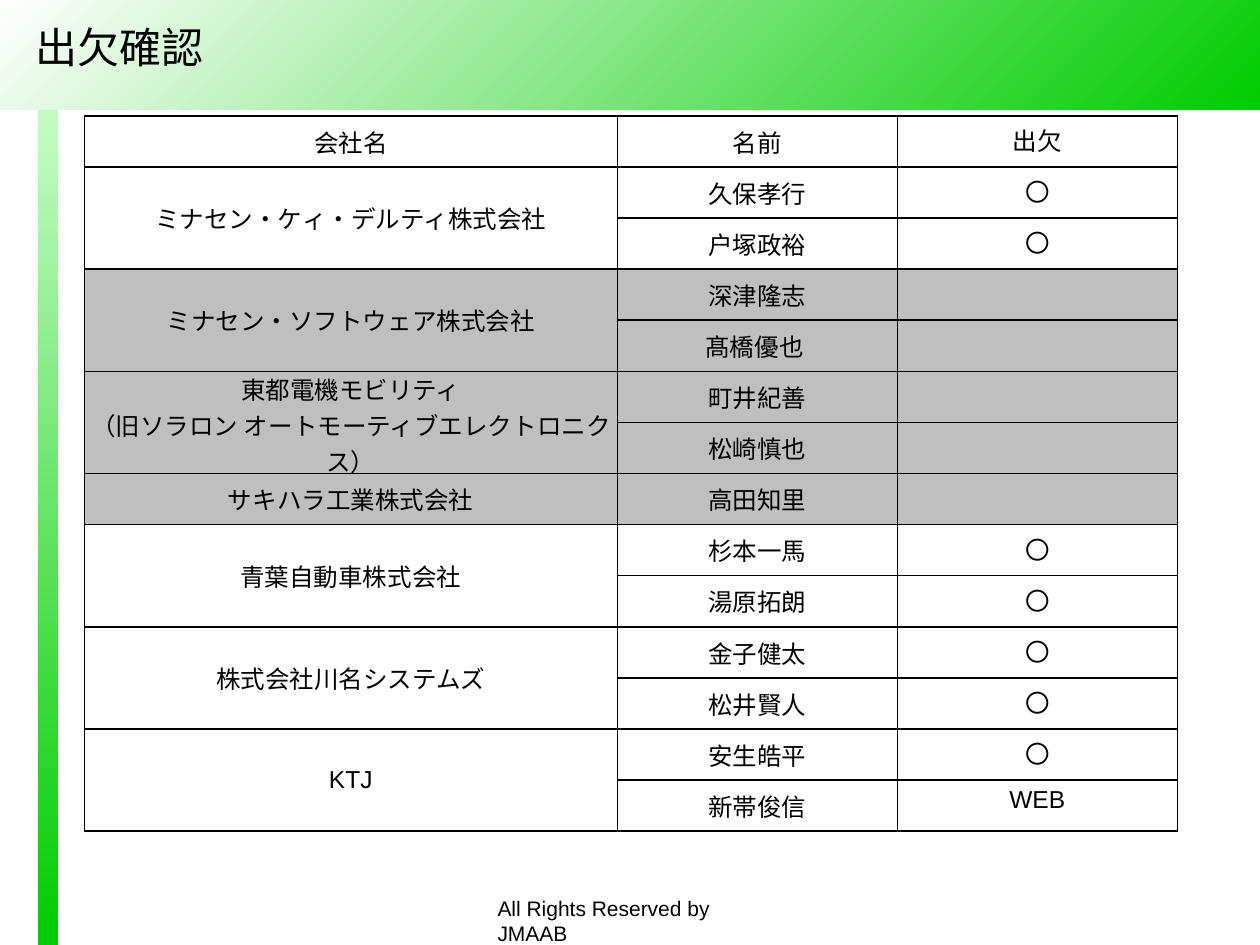
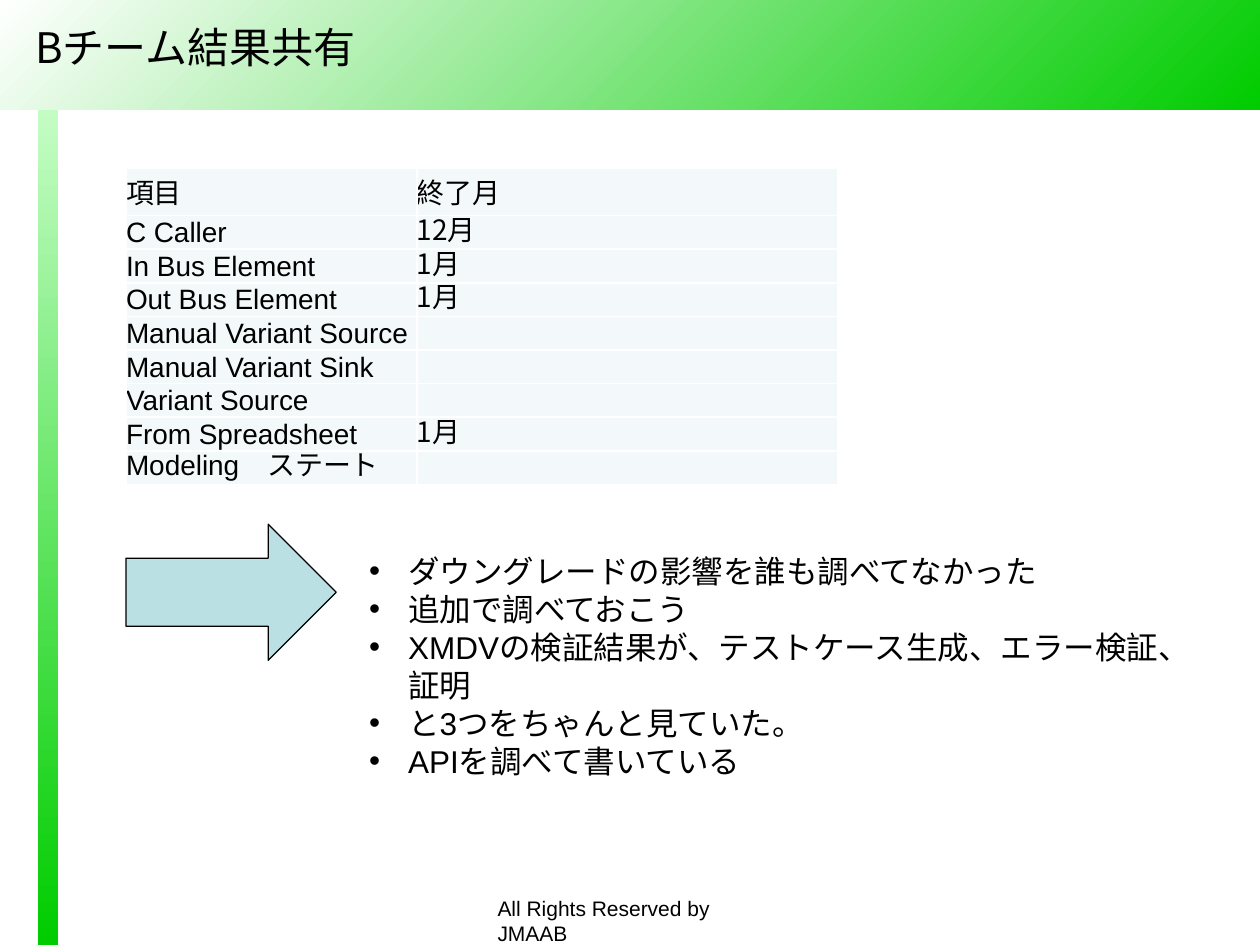
from dataclasses import dataclass

from lxml.etree import SubElement
from pptx import Presentation
from pptx.dml.color import RGBColor
from pptx.enum.shapes import MSO_SHAPE
from pptx.enum.text import MSO_ANCHOR, PP_ALIGN
from pptx.oxml import parse_xml
from pptx.oxml.ns import nsdecls, qn
from pptx.util import Pt

COLORS = {
    "black": "000000",
    "white": "FFFFFF",
    "pale_green": "CCFFCC",
    "green": "00CC00",
    "absent": "BFBFBF",
    "item": "F3F9FA",
    "arrow": "BBE0E3",
}
LATIN, CJK = "Arial", "Noto Sans CJK JP"


@dataclass
class Box:
    x: float
    y: float
    w: float
    h: float

    def emu(self) -> tuple:
        return Pt(self.x), Pt(self.y), Pt(self.w), Pt(self.h)


@dataclass
class Band:
    box: Box
    start: str
    angle: int  # clockwise


@dataclass
class Company:
    lines: list[str]
    members: list[tuple[str, str]]  # name, attendance mark


BANDS = [
    Band(Box(21.6, 43.2, 11.5, 496.8), "pale_green", 90),
    Band(Box(0, 0, 720, 62.6), "white", 45),
]

COMPANIES = [
    Company(["ミナセン・ケィ・デルティ株式会社"], [("久保孝行", "〇"), ("戸塚政裕", "〇")]),
    Company(["ミナセン・ソフトウェア株式会社"], [("深津隆志", ""), ("髙橋優也 ", "")]),
    Company(["東都電機モビリティ", "（旧ソラロン オートモーティブエレクトロニクス）"],
            [("町井紀善", ""), ("松崎慎也", "")]),
    Company(["サキハラ工業株式会社"], [("高田知里", "")]),
    Company(["青葉自動車株式会社"], [("杉本一馬", "〇"), ("湯原拓朗", "〇")]),
    Company(["株式会社川名システムズ"], [("金子健太", "〇"), ("松井賢人", "〇")]),
    Company(["KTJ"], [("安生皓平", "〇"), ("新帯俊信", "WEB")]),
]

ITEMS = [
    ("項目", "終了月"),
    ("C Caller", "12月"),
    ("In Bus Element", "1月"),
    ("Out Bus Element", "1月"),
    ("Manual Variant Source", ""),
    ("Manual Variant Sink", ""),
    ("Variant Source", ""),
    ("From Spreadsheet", "1月"),
    ("Modeling　ステート", ""),
]

FINDINGS = [
    "ダウングレードの影響を誰も調べてなかった",
    "追加で調べておこう",
    "XMDVの検証結果が、テストケース生成、エラー検証、証明",
    "と3つをちゃんと見ていた。",
    "APIを調べて書いている",
]


def rgb(name: str) -> RGBColor:
    return RGBColor.from_string(COLORS[name])


# Text
def write(tf, lines: list[str], size: float, font: str = LATIN, align=None,
          spacing: float | None = None, bullet: bool = False) -> None:
    for i, line in enumerate(lines):
        p = tf.paragraphs[0] if i == 0 else tf.add_paragraph()
        if bullet:
            pPr = p._p.get_or_add_pPr()
            pPr.set("marL", str(Pt(22.3)))
            pPr.set("indent", str(-Pt(22.3)))
            SubElement(pPr, qn("a:buFont")).set("typeface", LATIN)
            SubElement(pPr, qn("a:buChar")).set("char", "•")
        p.alignment = align
        if spacing:
            p.line_spacing = Pt(spacing)
        if not line:
            SubElement(p._p, qn("a:endParaRPr")).set("sz", str(int(size * 100)))
            continue
        r = p.add_run()
        r.text = line
        r.font.size = Pt(size)
        r.font.name = font
        r.font.color.rgb = rgb("black")
        SubElement(r._r.get_or_add_rPr(), qn("a:ea")).set("typeface", CJK)


def add_text(s, box: Box, lines: list[str], size: float, anchor=MSO_ANCHOR.TOP, **style) -> None:
    tf = s.shapes.add_textbox(*box.emu()).text_frame
    tf.word_wrap = True
    tf.vertical_anchor = anchor
    write(tf, lines, size, **style)


# Shared slide frame
def add_slide(prs, title: str):
    s = prs.slides.add_slide(prs.slide_layouts[6])
    for band in BANDS:
        sp = s.shapes.add_shape(MSO_SHAPE.RECTANGLE, *band.box.emu())
        sp.shadow.inherit = False
        sp.line.fill.background()
        sp.fill.gradient()
        sp.fill.gradient_angle = 360 - band.angle
        for stop, color in zip(sp.fill.gradient_stops, (band.start, "green")):
            stop.color.rgb = rgb(color)
    add_text(s, Box(277.2, 508.3, 178.6, 21.6), ["All Rights Reserved by JMAAB"], 12)
    add_text(s, Box(13, 10.1, 493.9, 33.1), [title], 24, MSO_ANCHOR.MIDDLE, font=CJK)
    return s


# Tables
def add_grid(s, x: float, y: float, widths: list[float], heights: list[float], border: str):
    box = Box(x, y, sum(widths), sum(heights))
    table = s.shapes.add_table(len(heights), len(widths), *box.emu()).table
    table.first_row = table.horz_banding = False
    for col, width in zip(table.columns, widths):
        col.width = Pt(width)
    for row, height in zip(table.rows, heights):
        row.height = Pt(height)
    for cell in table.iter_cells():
        tcPr = cell._tc.get_or_add_tcPr()
        for i, side in enumerate("LRTB"):
            tcPr.insert(i, parse_xml(
                f'<a:ln{side} {nsdecls("a")} w="{Pt(1)}"><a:solidFill>'
                f'<a:srgbClr val="{COLORS[border]}"/></a:solidFill></a:ln{side}>'))
    return table


def fill_cell(cell, lines: list[str], size: float, fill: str, tight: bool = True, **style) -> None:
    cell.fill.solid()
    cell.fill.fore_color.rgb = rgb(fill)
    if tight:
        cell.margin_left = cell.margin_right = cell.margin_top = cell.margin_bottom = 0
        cell.vertical_anchor = MSO_ANCHOR.MIDDLE
    write(cell.text_frame, lines, size, **style)


# Slide 1: attendance
def build_attendance(prs) -> None:
    s = add_slide(prs, "出欠確認")
    rows = 1 + sum(len(c.members) for c in COMPANIES)
    table = add_grid(s, 48.2, 66.2, [304.6, 160, 160], [29.2] * rows, "black")

    def put(row: int, col: int, lines: list[str], fill: str) -> None:
        fill_cell(table.cell(row, col), lines, 14, fill, tight=col < 2, align=PP_ALIGN.CENTER)

    for col, heading in enumerate(["会社名", "名前", "出欠"]):
        put(0, col, [heading], "white")
    row = 1
    for company in COMPANIES:
        fill = "white" if any(mark for _, mark in company.members) else "absent"
        last = row + len(company.members) - 1
        if last > row:
            table.cell(row, 0).merge(table.cell(last, 0))
        put(row, 0, company.lines, fill)
        for name, mark in company.members:
            put(row, 1, [name], fill)
            put(row, 2, [mark], fill)
            row += 1


# Slide 2: team results
def build_results(prs) -> None:
    s = add_slide(prs, "Bチーム結果共有")
    heights = [27.2] + [19.2] * (len(ITEMS) - 1)
    table = add_grid(s, 72, 96, [166.3, 240.5], heights, "white")
    for i, item in enumerate(ITEMS):
        for j, text in enumerate(item):
            font = CJK if i == 0 or j == 1 else LATIN
            fill_cell(table.cell(i, j), [text], 16, "item", font=font,
                      spacing=18.4 if i else None)

    arrow = s.shapes.add_shape(MSO_SHAPE.RIGHT_ARROW, *Box(72, 299.5, 120.2, 77.8).emu())
    arrow.shadow.inherit = False
    arrow.fill.solid()
    arrow.fill.fore_color.rgb = rgb("arrow")
    arrow.line.color.rgb = rgb("black")
    arrow.line.width = Pt(0.75)

    add_text(s, Box(203.8, 311.8, 482.4, 116.6), FINDINGS, 18, spacing=21.7, bullet=True)


def main() -> None:
    prs = Presentation()
    prs.slide_width, prs.slide_height = Pt(720), Pt(540)
    build_attendance(prs)
    build_results(prs)
    prs.save("out.pptx")


if __name__ == "__main__":
    main()
